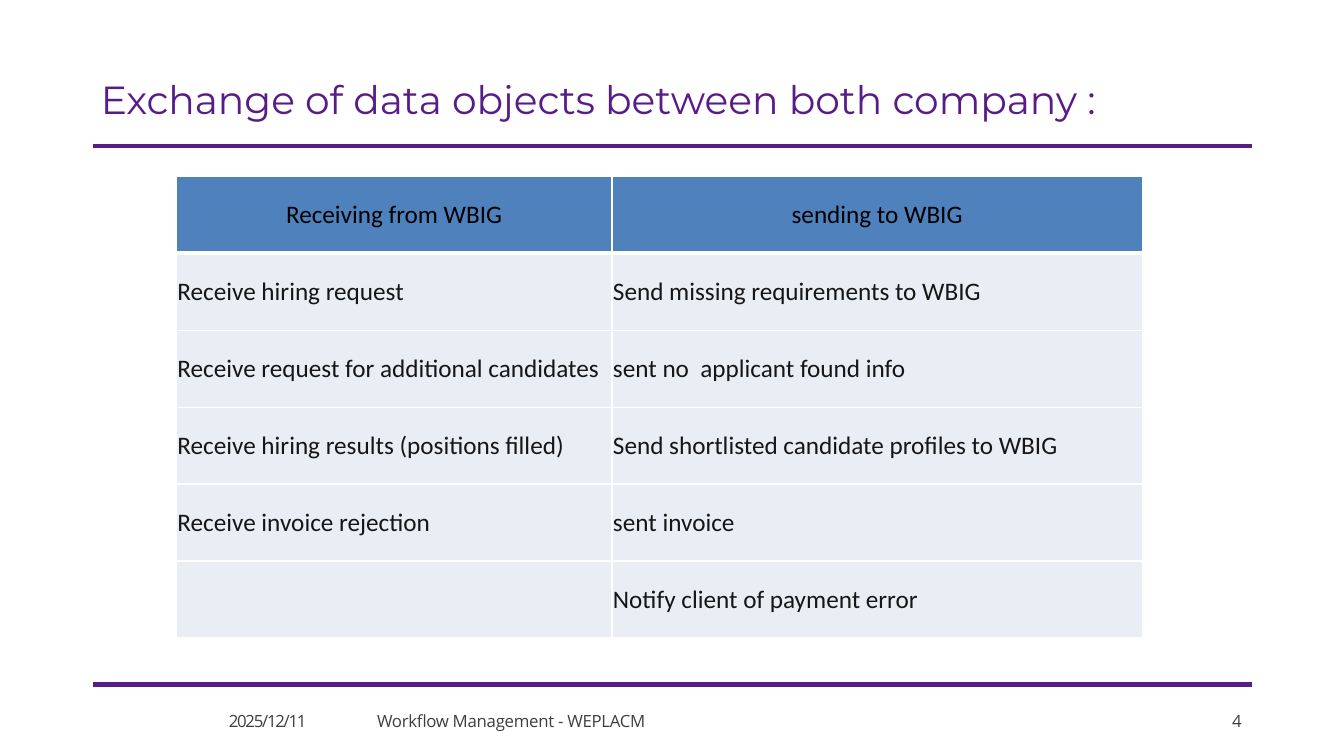
"""Build the slide listing the data objects exchanged between both companies."""
import pptx
import pptx.util
import pptx.dml.color
import pptx.enum.shapes
import pptx.enum.text
import pptx.oxml
import pptx.oxml.ns
from lxml import etree

Inches, Pt = pptx.util.Inches, pptx.util.Pt
RGBColor = pptx.dml.color.RGBColor
PP_ALIGN = pptx.enum.text.PP_ALIGN
MSO_ANCHOR = pptx.enum.text.MSO_ANCHOR
qn = pptx.oxml.ns.qn

PURPLE = RGBColor(0x58, 0x1C, 0x87)
GREY = RGBColor(0x3E, 0x3E, 0x3E)
BLACK = RGBColor(0x00, 0x00, 0x00)
INK = RGBColor(0x16, 0x16, 0x16)
WHITE = RGBColor(0xFF, 0xFF, 0xFF)
BLUE = RGBColor(0x4F, 0x81, 0xBD)
PALE = RGBColor(0xE9, 0xED, 0xF4)


def write(tf, text, font, size, color, align=PP_ALIGN.LEFT, before=0, spacing=0):
    """Put one formatted paragraph into a text frame."""
    p = tf.paragraphs[0]
    p.alignment = align
    p.space_before = Pt(before)
    r = p.add_run()
    r.text = text
    r.font.name = font
    r.font.size = Pt(size)
    r.font.color.rgb = color
    if spacing:
        r._r.get_or_add_rPr().set("spc", str(round(spacing * 100)))


def set_border(cell, side, width):
    """Draw one white side of a table cell."""
    ln = pptx.oxml.parse_xml(
        f'<a:{side} xmlns:a="http://schemas.openxmlformats.org/drawingml/2006/main" '
        f'w="{Pt(width)}"><a:solidFill><a:srgbClr val="{WHITE}"/></a:solidFill></a:{side}>')
    tcPr = cell._tc.get_or_add_tcPr()
    tcPr.insert(len(tcPr.findall("*")) - 1, ln)


prs = pptx.Presentation()
prs.slide_width = Inches(13.33)
prs.slide_height = Inches(7.5)
s = prs.slides.add_slide(prs.slide_layouts[5])

for y in (1.45, 6.79):
    rule = s.shapes.add_connector(pptx.enum.shapes.MSO_CONNECTOR.STRAIGHT,
                                  Inches(0.92), Inches(y), Inches(12.42), Inches(y))
    rule.line.color.rgb = PURPLE
    rule.line.width = Pt(3)
    etree.SubElement(rule._element.spPr, qn("a:effectLst"))

title = s.shapes.title
title.left, title.top = Inches(1), Inches(0.75)
title.width, title.height = Inches(11.08), Inches(1.41)
tf = title.text_frame
tf.margin_left = tf.margin_top = tf.margin_right = tf.margin_bottom = 0
tf.vertical_anchor = MSO_ANCHOR.TOP
write(tf, "Exchange of data objects between both company :", "Montserrat", 28, PURPLE)

footers = [
    ("2025/12/11", 2.26, 0.91, 0.01, -0.9),
    ("Workflow Management - WEPLACM", 3.73, 3.86, 0.01, -0.2),
    ("4", 12.18, 0.19, 0.04, -0.5),
]
for text, left, width, indent, spacing in footers:
    sp = s.shapes.add_textbox(Inches(left), Inches(7.02), Inches(width), Inches(0.23))
    tf = sp.text_frame
    tf.word_wrap = True
    tf.margin_left, tf.margin_top = Inches(indent), Inches(0.03)
    tf.margin_right = tf.margin_bottom = 0
    write(tf, text, "Open Sans", 12, GREY, before=1.8, spacing=spacing)

rows = [
    ("Receiving from WBIG", "sending to WBIG"),
    ("Receive hiring request", "Send missing requirements to WBIG"),
    ("Receive request for additional candidates", "sent no  applicant found info"),
    ("Receive hiring results (positions filled)", "Send shortlisted candidate profiles to WBIG"),
    ("Receive invoice rejection", "sent invoice"),
    ("", "Notify client of payment error"),
]
table = s.shapes.add_table(len(rows), 2, Inches(1.75), Inches(1.75),
                           Inches(9.58), Inches(4.58)).table
table.columns[0].width = Inches(4.32)
table.columns[1].width = Inches(5.26)
for i, row in enumerate(rows):
    header = i == 0
    for j, text in enumerate(row):
        cell = table.cell(i, j)
        cell.fill.solid()
        cell.fill.fore_color.rgb = BLUE if header else PALE
        cell.vertical_anchor = MSO_ANCHOR.MIDDLE
        cell.margin_left = cell.margin_top = cell.margin_right = Inches(0.01)
        cell.margin_bottom = 0
        for side in ("lnL", "lnR", "lnT", "lnB"):
            heavy = (i, side) in ((0, "lnB"), (1, "lnT"))
            set_border(cell, side, 3 if heavy else 1)
        if text:
            write(cell.text_frame, text, "Calibri", 18, BLACK if header else INK,
                  align=PP_ALIGN.CENTER if header else PP_ALIGN.LEFT)

prs.save("out.pptx")
